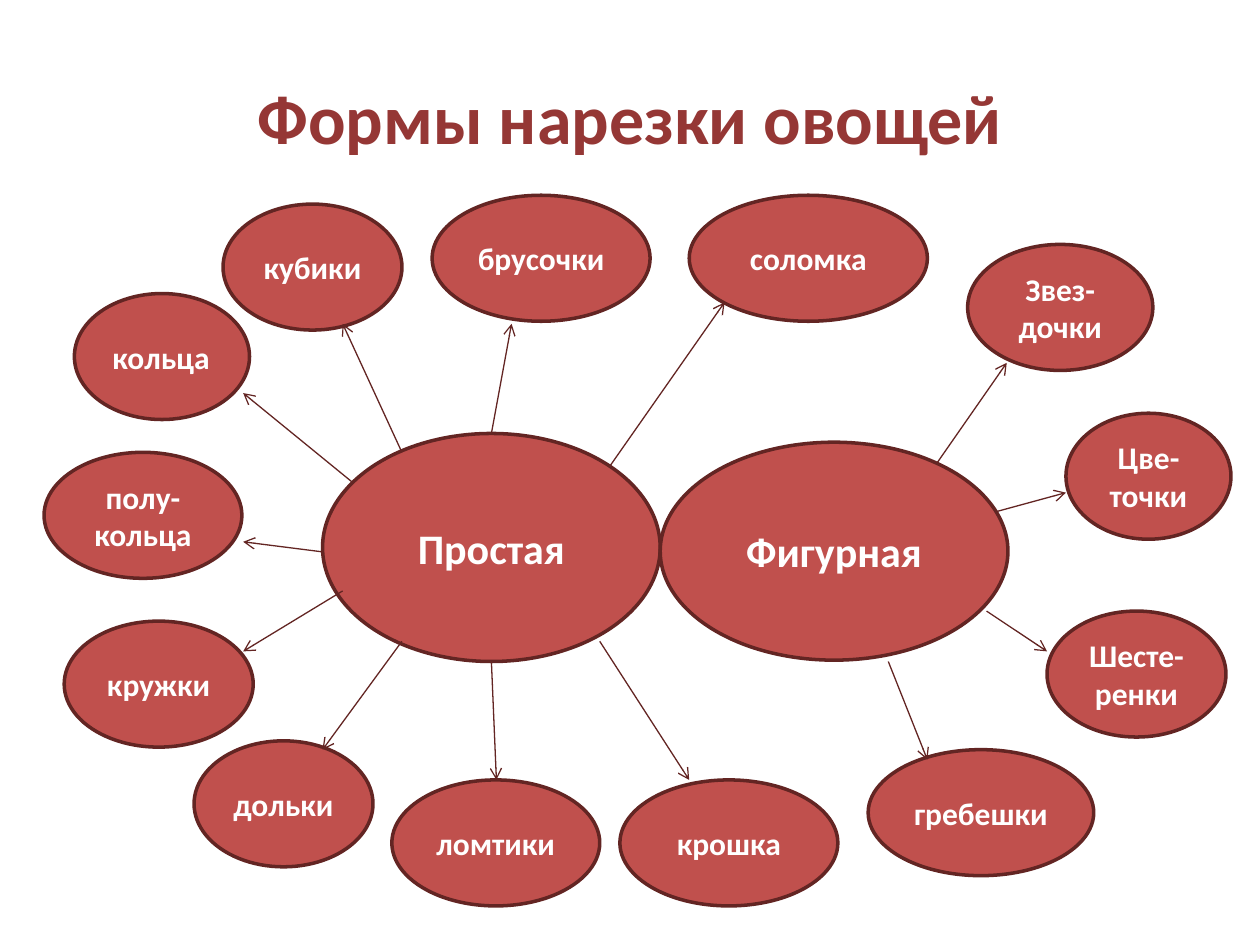
from dataclasses import dataclass

import pptx
import pptx.dml.color
import pptx.enum.shapes
import pptx.enum.text
import pptx.oxml
import pptx.oxml.ns
import pptx.util

PX = 9144  # EMU per px, 100 px to the inch
FONT = "Calibri"
COLORS = {"title": "953735", "fill": "C0504D", "edge": "632523", "label": "FFFFFF"}
ALIGN = pptx.enum.text.PP_ALIGN
CUT_HEIGHT = 100


@dataclass(frozen=True)
class Group:
    label: str
    left: int
    top: int
    width: int
    height: int


@dataclass(frozen=True)
class Cut:
    label: str
    left: int
    top: int
    width: int
    start: tuple[int, int]
    end: tuple[int, int]
    align: ALIGN = ALIGN.CENTER


GROUPS = [
    Group("Простая", 256, 344, 268, 181),
    Group("Фигурная", 524, 351, 276, 173),
]

CUTS = [
    # Simple cuts, clockwise from the left
    Cut("полу-кольца", 35, 359, 157, (256, 438), (193, 430)),
    Cut("кольца", 59, 233, 139, (280, 383), (193, 312), ALIGN.LEFT),
    Cut("кубики", 177, 162, 142, (319, 359), (272, 257)),
    Cut("брусочки", 343, 155, 173, (390, 344), (406, 257)),
    Cut("соломка", 547, 155, 189, (484, 370), (575, 240)),
    Cut("крошка", 492, 619, 173, (476, 509), (547, 619)),
    Cut("ломтики", 311, 619, 165, (390, 525), (394, 619)),
    Cut("дольки", 154, 588, 142, (319, 509), (256, 595)),
    Cut("кружки", 51, 493, 150, (272, 469), (193, 517)),
    # Figured cuts, from the top down
    Cut("Звез-дочки", 768, 194, 147, (744, 367), (799, 288)),
    Cut("Цве-точки", 846, 328, 131, (791, 406), (846, 391)),
    Cut("Шесте-ренки", 831, 485, 142, (783, 485), (831, 517)),
    Cut("гребешки", 689, 595, 179, (705, 525), (736, 603)),
]


def px(length: int) -> int:
    return length * PX


def rgb(name: str) -> pptx.dml.color.RGBColor:
    return pptx.dml.color.RGBColor.from_string(COLORS[name])


def write(shape, text: str, *, size: int, color: str, align: ALIGN = ALIGN.CENTER) -> None:
    frame = shape.text_frame
    frame.word_wrap = True
    frame.vertical_anchor = pptx.enum.text.MSO_ANCHOR.MIDDLE
    paragraph = frame.paragraphs[0]
    paragraph.alignment = align
    run = paragraph.add_run()
    run.text = text
    run.font.name = FONT
    run.font.size = pptx.util.Pt(size)
    run.font.bold = True
    run.font.color.rgb = rgb(color)


def draw_oval(slide, item: Group | Cut, height: int, size: int, align: ALIGN) -> None:
    oval = slide.shapes.add_shape(
        pptx.enum.shapes.MSO_SHAPE.OVAL,
        px(item.left), px(item.top), px(item.width), px(height),
    )
    oval.shadow.inherit = False
    oval.fill.solid()
    oval.fill.fore_color.rgb = rgb("fill")
    oval.line.color.rgb = rgb("edge")
    oval.line.width = pptx.util.Pt(2)
    write(oval, item.label, size=size, color="label", align=align)


def draw_arrow(slide, start: tuple[int, int], end: tuple[int, int]) -> None:
    arrow = slide.shapes.add_connector(
        pptx.enum.shapes.MSO_CONNECTOR.STRAIGHT, *map(px, start + end)
    )
    arrow.line.color.rgb = rgb("edge")
    arrow.line.width = pptx.util.Pt(0.75)
    namespace = pptx.oxml.ns.nsdecls("a")
    head = pptx.oxml.parse_xml(f'<a:tailEnd {namespace} type="arrow"/>')
    arrow.line._get_or_add_ln().append(head)
    arrow._element.spPr.append(pptx.oxml.parse_xml(f"<a:effectLst {namespace}/>"))


def main() -> None:
    deck = pptx.Presentation()
    deck.slide_width, deck.slide_height = px(1000), px(750)
    slide = deck.slides.add_slide(deck.slide_layouts[5])

    # Title
    heading = slide.shapes.title
    heading.left, heading.top, heading.width, heading.height = map(px, (50, 30, 900, 125))
    write(heading, "Формы нарезки овощей", size=40, color="title")

    # Groups, then their cuts, then the arrows on top
    for group in GROUPS:
        draw_oval(slide, group, group.height, 24, ALIGN.CENTER)
    for cut in CUTS:
        draw_oval(slide, cut, CUT_HEIGHT, 18, cut.align)
    for cut in CUTS:
        draw_arrow(slide, cut.start, cut.end)

    deck.save("out.pptx")


if __name__ == "__main__":
    main()
